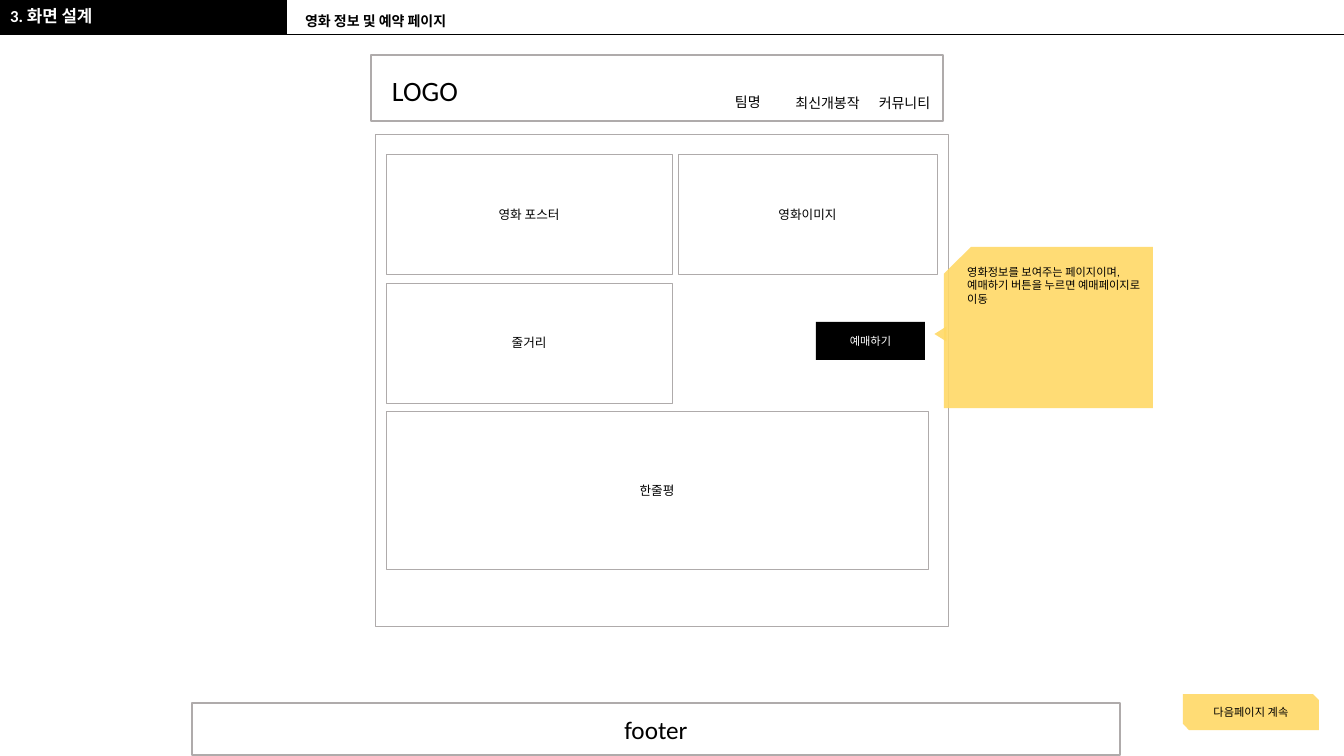
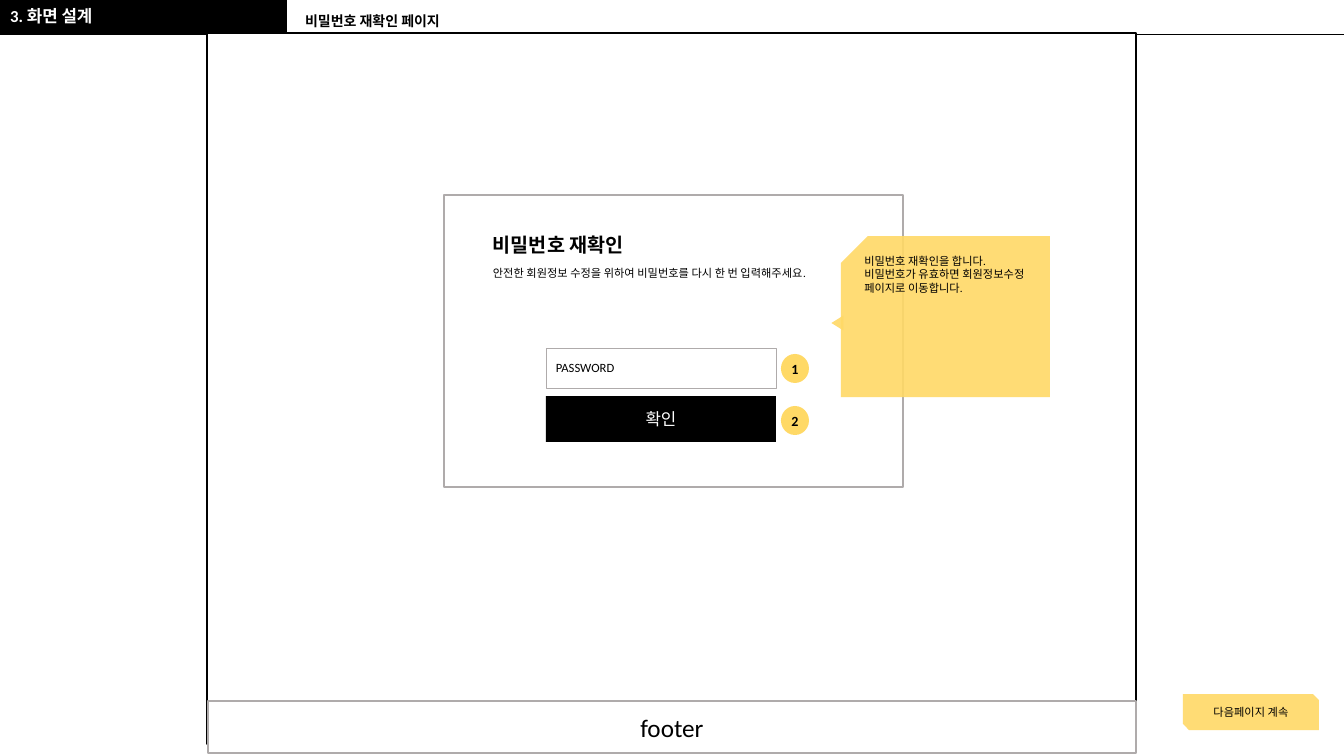
"""Build two wireframe slides of a movie booking site."""
from lxml import etree
from pptx import Presentation
from pptx.dml.color import RGBColor
from pptx.enum.shapes import MSO_CONNECTOR, MSO_SHAPE
from pptx.enum.text import MSO_ANCHOR, MSO_AUTO_SIZE, PP_ALIGN
from pptx.oxml.ns import qn
from pptx.util import Emu, Pt

RECTANGLE = MSO_SHAPE.RECTANGLE
OVAL = MSO_SHAPE.OVAL
TRIANGLE = MSO_SHAPE.ISOSCELES_TRIANGLE
SNIP_ONE = MSO_SHAPE.SNIP_1_RECTANGLE
SNIP_DIAGONAL = MSO_SHAPE.SNIP_2_DIAG_RECTANGLE
STRAIGHT = MSO_CONNECTOR.STRAIGHT
LEFT, CENTER = PP_ALIGN.LEFT, PP_ALIGN.CENTER
TOP, MIDDLE = MSO_ANCHOR.TOP, MSO_ANCHOR.MIDDLE
NO_AUTOFIT = MSO_AUTO_SIZE.NONE

PX_PER_INCH = 100.8
SLIDE_WIDTH, SLIDE_HEIGHT = 1344, 756
FONT = "Calibri"
BLACK, WHITE, GRAY, YELLOW = "000000", "FFFFFF", "AFABAB", "FFD966"
NOTE_OPACITY = 90
SECTION = "3. 화면 설계"
SECTION_BOX = (0, 3, 287, 32)
TITLE_BOX = (295, 9, 864, 26)


def px(length):
    """Turn pixels into EMU."""
    return Emu(round(length * 914400 / PX_PER_INCH))


def color(hex_value):
    """Turn a hex string into a colour."""
    return RGBColor.from_string(hex_value)


def place(shape, box):
    """Set the position and size of a shape."""
    shape.left, shape.top, shape.width, shape.height = map(px, box)


def write(shape, lines, size, text_color=BLACK, bold=False, align=CENTER, anchor=MIDDLE):
    """Fill a shape with one paragraph per line."""
    frame = shape.text_frame
    frame.word_wrap = True
    frame.auto_size = NO_AUTOFIT
    frame.vertical_anchor = anchor
    for index, line in enumerate(lines):
        paragraph = frame.add_paragraph() if index else frame.paragraphs[0]
        paragraph.alignment = align
        run = paragraph.add_run()
        run.text = line
        run.font.name = FONT
        run.font.size = Pt(size)
        run.font.bold = bold
        run.font.color.rgb = color(text_color)


def add_box(shapes, box, fill=WHITE, line=None, line_width=0.25, kind=RECTANGLE, opacity=100):
    """Draw a filled preset shape."""
    shape = shapes.add_shape(kind, *map(px, box))
    shape.shadow.inherit = False
    shape.fill.solid()
    shape.fill.fore_color.rgb = color(fill)
    if opacity < 100:
        fill_color = shape.element.spPr.find(qn("a:solidFill"))[0]
        etree.SubElement(fill_color, qn("a:alpha")).set("val", str(opacity * 1000))
    if line:
        shape.line.color.rgb = color(line)
        shape.line.width = Pt(line_width)
    else:
        shape.line.fill.background()
    return shape


def add_text(slide, box, text, size, align=LEFT):
    """Place a free text box."""
    write(slide.shapes.add_textbox(*map(px, box)), [text], size, align=align, anchor=TOP)


def add_card(slide, box, text):
    """Draw an outlined content area with its label."""
    write(add_box(slide.shapes, box, line=GRAY), [text], 9)


def add_button(slide, box, text, size):
    """Draw a black button."""
    write(add_box(slide.shapes, box, fill=BLACK), [text], size, WHITE)


def add_caption(slide, box, text, size, bold=False):
    """Draw a left-aligned white text panel."""
    write(add_box(slide.shapes, box), [text], size, bold=bold, align=LEFT)


def add_callout(slide, left, top, lines):
    """Draw a yellow note with a pointer on its left side."""
    shapes = slide.shapes.add_group_shape().shapes
    note = add_box(shapes, (left, top, 209, 161), YELLOW, kind=SNIP_ONE, opacity=NOTE_OPACITY)
    note.element.spPr.get_or_add_xfrm().set("flipH", "1")
    write(note, lines, 8, align=LEFT, anchor=TOP)
    pointer = add_box(shapes, (left - 11, top + 81, 15, 12), YELLOW, kind=TRIANGLE,
                      opacity=NOTE_OPACITY)
    pointer.rotation = 270


def add_badge(slide, left, top, text):
    """Draw a numbered yellow dot."""
    badge = add_box(slide.shapes, (left, top, 28, 29), YELLOW, kind=OVAL)
    frame = badge.text_frame
    frame.margin_left = frame.margin_right = frame.margin_top = frame.margin_bottom = 0
    write(badge, [text], 10, bold=True)


def add_footer(slide, left, top):
    """Draw the page footer and the continuation note."""
    footer = add_box(slide.shapes, (left, top, 928, 52), line=GRAY, line_width=1)
    write(footer, ["footer"], 18)
    note = add_box(slide.shapes, (1183, 694, 136, 36), YELLOW, kind=SNIP_DIAGONAL,
                   opacity=NOTE_OPACITY)
    write(note, ["다음페이지 계속"], 8)


def prepare_layout(layout):
    """Keep and move only the title and body placeholders."""
    title, body, *others = layout.placeholders
    place(title, TITLE_BOX)
    place(body, SECTION_BOX)
    for placeholder in others:
        placeholder.element.getparent().remove(placeholder.element)


def add_layout_band(layout, slide):
    """Draw the top band and rule and move them into the layout."""
    band = add_box(slide.shapes, (0, 0, 287, 35), BLACK)
    rule = slide.shapes.add_connector(STRAIGHT, px(278), px(34), px(SLIDE_WIDTH), px(34))
    rule.line.color.rgb = color(BLACK)
    rule.line.width = Pt(0.5)
    etree.SubElement(rule.element.spPr, qn("a:effectLst"))
    for position, shape in enumerate((band, rule), start=2):
        layout.shapes.element.insert(position, shape.element)


def add_page(presentation, layout, title):
    """Add a slide with its section label and title."""
    slide = presentation.slides.add_slide(layout)
    section = slide.placeholders[1]
    properties = section.text_frame.paragraphs[0].element.get_or_add_pPr() if hasattr(
        section.text_frame.paragraphs[0], "element") else section.text_frame.paragraphs[0]._p.get_or_add_pPr()
    properties.set("marL", "0")
    properties.set("indent", "0")
    etree.SubElement(properties, qn("a:buNone"))
    write(section, [SECTION], 12, WHITE, bold=True, align=LEFT, anchor=TOP)
    write(slide.shapes.title, [title], 10, bold=True, align=LEFT, anchor=TOP)
    for shape in (section, slide.shapes.title):
        paragraph = shape.text_frame.paragraphs[0]
        paragraph.space_before = Pt(0)
        paragraph.line_spacing = 0.9
    return slide


def build_movie_page(slide):
    """Draw the movie information and booking page."""
    add_box(slide.shapes, (375, 134, 573, 492), line=GRAY)
    add_footer(slide, 192, 703)
    for box, text in (
        ((386, 154, 286, 120), "영화 포스터"),
        ((678, 154, 259, 120), "영화이미지"),
        ((386, 283, 286, 120), "줄거리"),
        ((386, 411, 542, 158), "한줄평"),
    ):
        add_card(slide, box, text)
    add_button(slide, (816, 322, 109, 38), "예매하기", 8)
    add_callout(slide, 944, 247, ["영화정보를 보여주는 페이지이며,",
                                  "예매하기 버튼을 누르면 예매페이지로 이동"])
    add_box(slide.shapes, (371, 55, 572, 66), line=GRAY, line_width=1)
    add_text(slide, (382, 69, 108, 44), "LOGO", 20)
    add_text(slide, (725, 89, 69, 27), "팀명", 10)
    add_text(slide, (762, 90, 131, 27), "최신개봉작", 10, CENTER)
    add_text(slide, (846, 90, 117, 27), "커뮤니티", 10, CENTER)


def build_password_page(slide):
    """Draw the password confirmation page."""
    add_box(slide.shapes, (207, 33, 929, 711), line=BLACK, line_width=1)
    add_box(slide.shapes, (444, 195, 459, 292), line=GRAY, line_width=1)
    add_footer(slide, 208, 701)
    field = add_box(slide.shapes, (546, 348, 230, 40), line=GRAY)
    write(field, ["PASSWORD"], 9, align=LEFT)
    add_button(slide, (546, 396, 230, 46), "확인", 12)
    for number, top in enumerate((354, 406), start=1):
        add_badge(slide, 781, top, str(number))
    add_caption(slide, (483, 225, 230, 40), "비밀번호 재확인", 14, bold=True)
    add_caption(slide, (483, 261, 390, 24),
                "안전한 회원정보 수정을 위하여 비밀번호를 다시 한 번 입력해주세요.", 8)
    add_callout(slide, 841, 236, ["비밀번호 재확인을 합니다.",
                                  "비밀번호가 유효하면 회원정보수정 페이지로 이동합니다."])


def main():
    """Build and save the presentation."""
    presentation = Presentation()
    presentation.slide_width = px(SLIDE_WIDTH)
    presentation.slide_height = px(SLIDE_HEIGHT)
    layout = presentation.slide_layouts[1]
    prepare_layout(layout)
    movie_page = add_page(presentation, layout, "영화 정보 및 예약 페이지")
    add_layout_band(layout, movie_page)
    build_movie_page(movie_page)
    build_password_page(add_page(presentation, layout, "비밀번호 재확인 페이지"))
    presentation.save("out.pptx")


if __name__ == "__main__":
    main()
